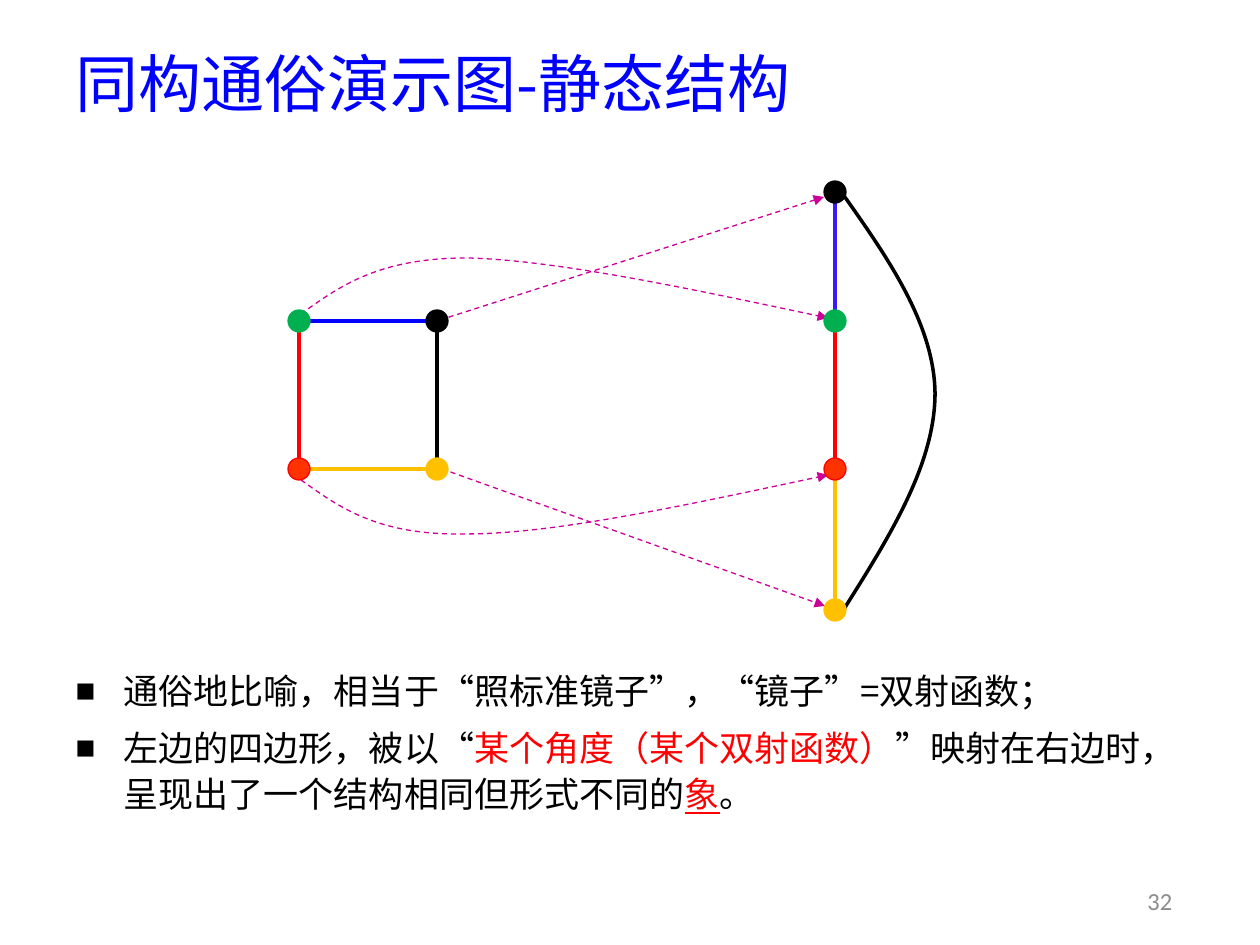
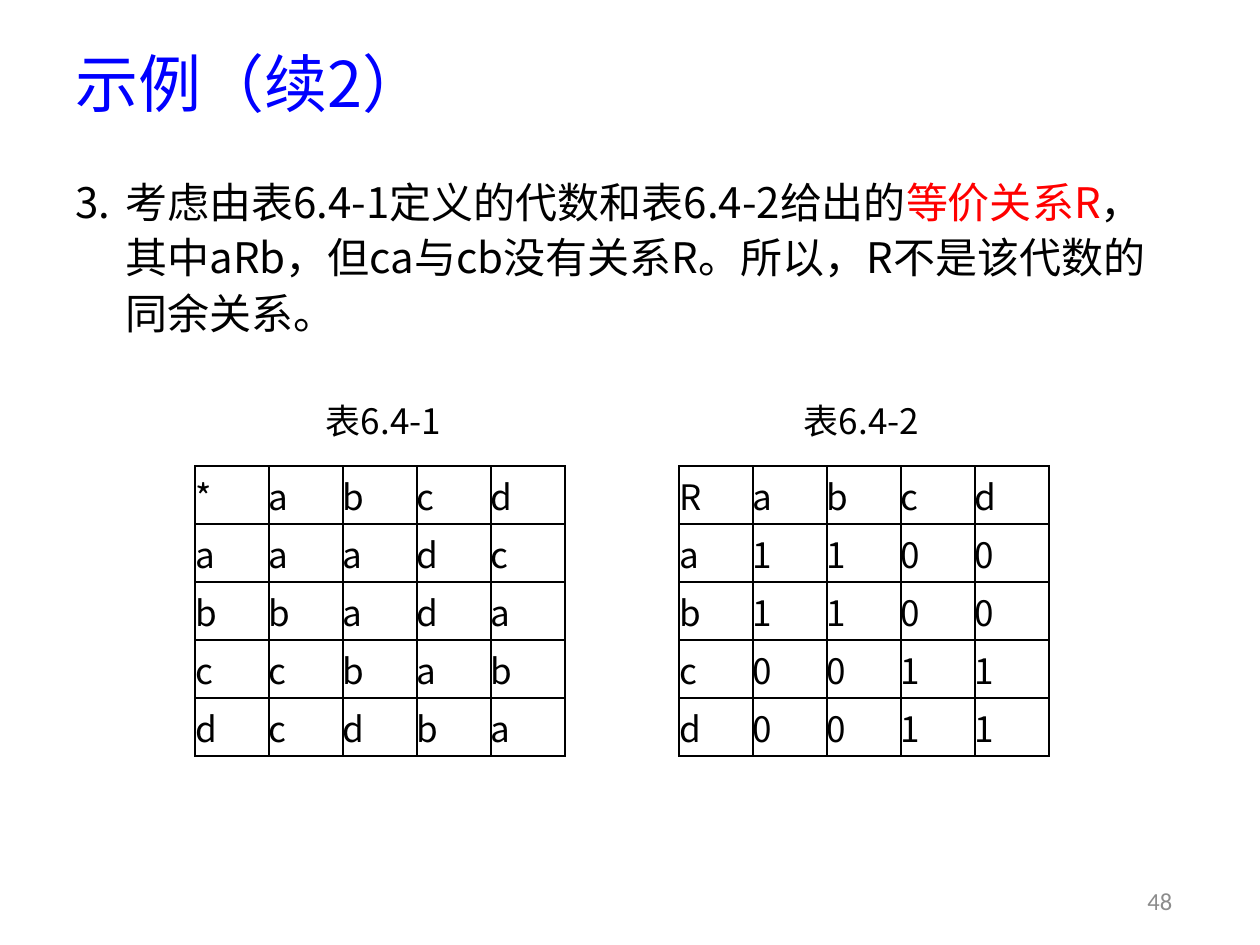
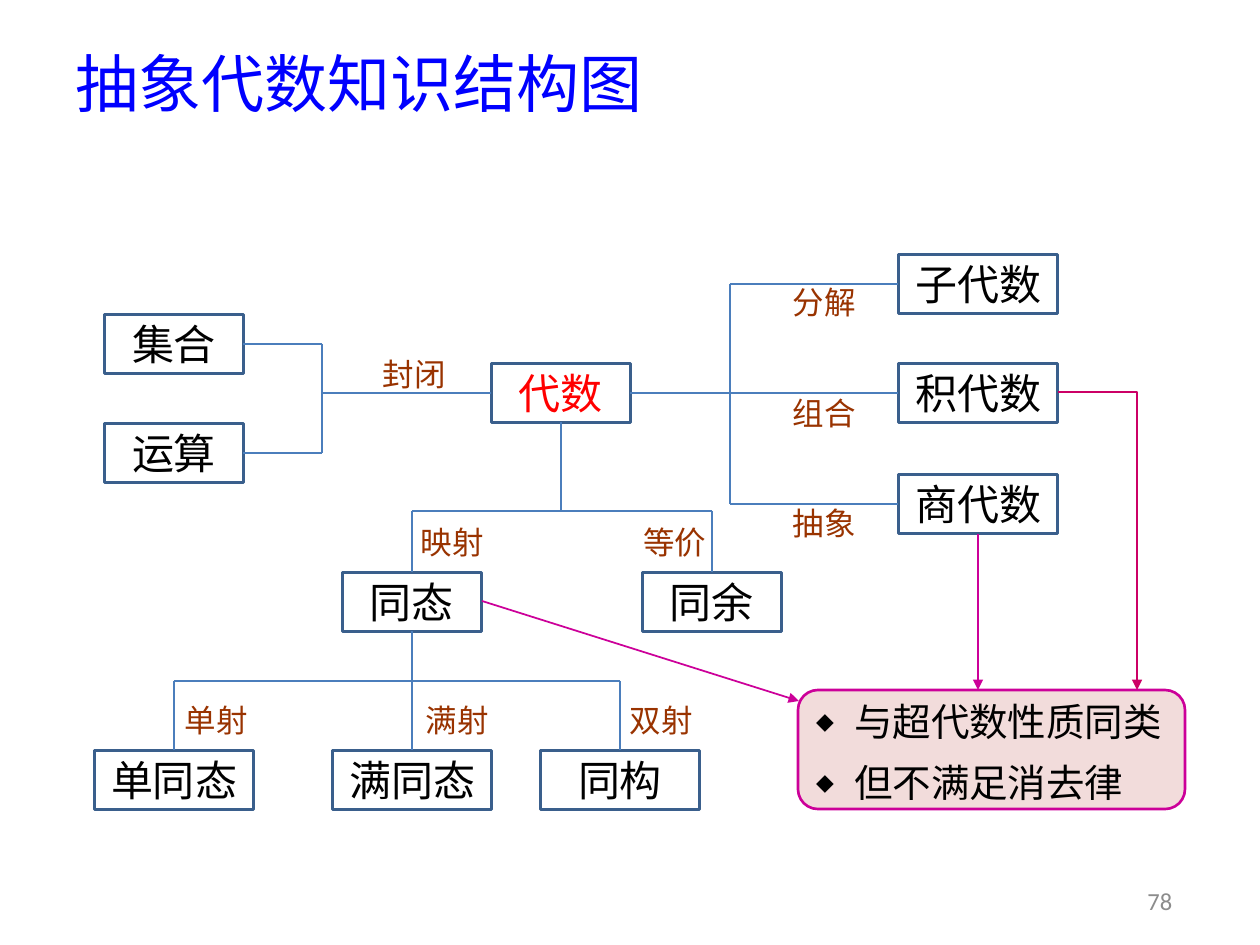
import lxml.etree
import pptx
import pptx.dml.color
import pptx.enum.dml
import pptx.enum.shapes
import pptx.enum.text
import pptx.oxml.ns
import pptx.util

SCALE = 914400 / 126
SANS = "Noto Sans CJK SC"
HUES = {
    "title": "0000FF", "ink": "000000", "page": "8C8C8C", "red": "FF0000",
    "coral": "FF3300", "gold": "FFC000", "green": "00B050", "blue": "0000FF",
    "indigo": "3A1BF7", "pink": "CC0099", "rose": "CC0066", "frame": "3A5F8C",
    "wire": "4B7EBC", "label": "993300", "blush": "F2DCDB",
}
ALIGN = pptx.enum.text.PP_ALIGN
ANCHOR = pptx.enum.text.MSO_ANCHOR
SHAPE = pptx.enum.shapes.MSO_SHAPE

MIRROR = [
    ["通俗地比喻，相当于“照标准镜子”，“镜子”=双射函数；"],
    ["左边的四边形，被以“", ("某个角度（某个双射函数）", "red"),
     "”映射在右边时，呈现出了一个结构相同但形式不同的", ("象", "red", True), "。"],
]
NODES = {
    "A": (299, 321, "green"), "B": (437, 321, "ink"),
    "C": (299, 469, "coral"), "D": (437, 469, "gold"),
    "b": (835, 192, "ink"), "a": (835, 321, "green"),
    "c": (835, 469, "coral"), "d": (835, 610, "gold"),
}
EDGES = [("A", "B", "blue"), ("A", "C", "red"), ("B", "D", "ink"), ("C", "D", "gold"),
         ("b", "a", "indigo"), ("a", "c", "red"), ("c", "d", "gold")]
ARC = [(842, 193), (888, 258), (934, 324), (935, 393), (935, 464), (890, 536), (844, 609)]
MAPS = [
    [(442, 469), (825, 606)],
    [(301, 314), (340, 286), (379, 258), (467, 258), (554, 260), (692, 289), (828, 318)],
    [(440, 320), (824, 197)],
    [(301, 480), (340, 508), (379, 536), (467, 534), (554, 534), (692, 504), (828, 475)],
]

CLAIM = [["考虑由表6.4-1定义的代数和表6.4-2给出的", ("等价关系R", "red"),
          "，其中aRb，但ca与cb没有关系R。所以，R不是该代数的同余关系。"]]
TABLES = [
    ("表6.4-1", 195, 286, ["*abcd", "aaadc", "bbada", "ccbab", "dcdba"]),
    ("表6.4-2", 679, 764, ["Rabcd", "a1100", "b1100", "c0011", "d0011"]),
]

BOXES = {
    "集合": (174, 344, 139), "运算": (174, 453, 139), "代数": (561, 393, 139),
    "子代数": (978, 284, 159), "积代数": (978, 393, 159), "商代数": (978, 504, 159),
    "同态": (412, 602, 139), "同余": (712, 602, 139),
    "单同态": (174, 780, 159), "满同态": (412, 780, 159), "同构": (620, 780, 159),
}
TALL = 59
TREES = [
    ("代数", ["集合", "运算"], 322, 0),
    ("代数", ["子代数", "积代数", "商代数"], 730, 0),
    ("代数", ["同态", "同余"], 511, 1),
    ("同态", ["单同态", "满同态", "同构"], 681, 1),
]
LABELS = [
    ("封闭", 359, 344), ("分解", 769, 272), ("组合", 769, 383), ("抽象", 769, 493),
    ("映射", 397, 512), ("等价", 620, 512),
    ("单射", 161, 690), ("满射", 402, 690), ("双射", 606, 690),
]
NOTES = ["与超代数性质同类", "但不满足消去律"]


def px(n):
    return round(n * SCALE)


def area(*nums):
    return [px(n) for n in nums]


def color(name):
    return pptx.dml.color.RGBColor.from_string(HUES[name])


def sub(node, tag, **attrs):
    return lxml.etree.SubElement(node, pptx.oxml.ns.qn(tag), attrs)


def write(frame, paras, size=24, hue="ink", font=SANS, align=ALIGN.LEFT, anchor=ANCHOR.TOP,
          lead=1.0, before=0, after=0, indent=0, bullet=None, start=None):
    frame.word_wrap = True
    frame.auto_size = pptx.enum.text.MSO_AUTO_SIZE.NONE
    frame.vertical_anchor = anchor
    for i, parts in enumerate(paras):
        para = frame.add_paragraph() if i else frame.paragraphs[0]
        para.alignment = align
        para.line_spacing = lead
        para.space_before = pptx.util.Pt(before)
        para.space_after = pptx.util.Pt(after)
        props = para._p.get_or_add_pPr()
        if indent:
            props.set("marL", str(px(indent)))
            props.set("indent", str(-px(indent)))
        if bullet:
            sub(props, "a:buSzPct", val="60000")
            sub(props, "a:buFont", typeface="Calibri")
            sub(props, "a:buChar", char=bullet)
        if start:
            sub(props, "a:buFont", typeface=SANS)
            sub(props, "a:buAutoNum", type="arabicPeriod", startAt=str(start))
        for part in [parts] if isinstance(parts, str) else parts:
            words, tint, under = ((part,) if isinstance(part, str) else part) + (None, None)[
                :3 - (1 if isinstance(part, str) else len(part))]
            run = para.add_run()
            run.text = words
            run.font.size = pptx.util.Pt(size)
            run.font.name = font
            run.font.color.rgb = color(tint or hue)
            run.font.underline = under
            sub(run._r.get_or_add_rPr(), "a:ea", typeface=font)


def stroke(line, hue, width, dash=False, arrow=False):
    line.color.rgb = color(hue)
    line.width = pptx.util.Pt(width)
    if dash:
        line.dash_style = pptx.enum.dml.MSO_LINE.DASH
    if arrow:
        sub(line._get_or_add_ln(), "a:tailEnd", type="triangle")


def wire(slide, one, two, hue, width=1, arrow=False):
    kind = pptx.enum.shapes.MSO_CONNECTOR.STRAIGHT
    link = slide.shapes.add_connector(kind, *area(*one, *two))
    stroke(link.line, hue, width, arrow=arrow)
    sub(link._element.spPr, "a:effectLst")


def trace(slide, points, hue, width, dash=False, arrow=False):
    build = slide.shapes.build_freeform(*points[0], scale=SCALE)
    build.add_line_segments(points[1:], close=False)
    shape = build.convert_to_shape()
    shape.shadow.inherit = False
    shape.fill.background()
    stroke(shape.line, hue, width, dash, arrow)
    return shape


def bend(shape):
    legs = list(shape._element.iter(pptx.oxml.ns.qn("a:lnTo")))
    for i in range(0, len(legs), 3):
        curve = lxml.etree.Element(pptx.oxml.ns.qn("a:cubicBezTo"))
        legs[i].addprevious(curve)
        for leg in legs[i:i + 3]:
            curve.append(leg[0])
            leg.getparent().remove(leg)


def block(slide, kind, x, y, w, h, fill, edge, width):
    shape = slide.shapes.add_shape(kind, *area(x, y, w, h))
    shape.shadow.inherit = False
    if fill:
        shape.fill.solid()
        shape.fill.fore_color.rgb = color(fill)
    else:
        shape.fill.background()
    stroke(shape.line, edge, width)
    return shape


def label(slide, x, y, w, h, words, **fmt):
    box = slide.shapes.add_textbox(*area(x, y, w, h))
    write(box.text_frame, [words], align=ALIGN.CENTER, **fmt)


def place(shape, *spot):
    shape.left, shape.top, shape.width, shape.height = area(*spot)
    return shape.text_frame


def page(deck, layout, title, number):
    slide = deck.slides.add_slide(deck.slide_layouts[layout])
    frame = place(slide.shapes.title, 63, 39, 1134, 87)
    write(frame, [title], size=36, hue="title", anchor=ANCHOR.MIDDLE)
    label(slide, 1123, 876, 74, 50, number, size=14, hue="page", font="Calibri",
          anchor=ANCHOR.MIDDLE)
    return slide


def graph(deck):
    slide = page(deck, 1, "同构通俗演示图-静态结构", "32")
    bend(trace(slide, ARC, "ink", 2))
    for points in MAPS:
        shape = trace(slide, points, "pink", 0.75, dash=True, arrow=True)
        if len(points) > 2:
            bend(shape)
    for one, two, hue in EDGES:
        wire(slide, NODES[one][:2], NODES[two][:2], hue, 2)
    for x, y, hue in NODES.values():
        edge = "red" if hue == "coral" else hue
        block(slide, SHAPE.FLOWCHART_CONNECTOR, x - 11, y - 11, 22, 22, hue, edge, 0.75)
    body = place(slide.placeholders[1], 63, 659, 1125, 193)
    write(body, MIRROR, size=20, lead=1.1, before=6, indent=48, bullet="■")


def grid(slide, x, y, rows):
    wide, high = 74, 58
    count = len(rows)
    table = slide.shapes.add_table(count, count, *area(x, y, wide * count, high * count)).table
    table.first_row = table.horz_banding = False
    for i, row in enumerate(rows):
        table.rows[i].height = px(high)
        table.columns[i].width = px(wide)
        for j, word in enumerate(row):
            cell = table.cell(i, j)
            cell.margin_left = cell.margin_right = cell.margin_top = cell.margin_bottom = 0
            for side in "LRTB":
                line = sub(cell._tc.get_or_add_tcPr(), "a:ln" + side, w="12700")
                sub(sub(line, "a:solidFill"), "a:srgbClr", val=HUES["ink"])
            cell.fill.background()
            write(cell.text_frame, [word], size=20)
            cell.vertical_anchor = ANCHOR.MIDDLE


def example(deck):
    slide = page(deck, 1, "示例（续2）", "48")
    body = place(slide.placeholders[1], 63, 165, 1134, 202)
    write(body, CLAIM, lead=1.1, before=6, after=6, indent=50, start=3)
    for name, x, left, rows in TABLES:
        grid(slide, x, 466, rows)
        label(slide, left, 389, 195, 66, name, size=20, lead=1.1, before=6, after=6)


def side(name, spine, axis):
    spot = list(BOXES[name][:2])
    half = (BOXES[name][2], TALL)[axis] / 2
    spot[axis] += half if spine > spot[axis] else -half
    return spot


def cross(spot, spine, axis):
    return [spine, spot[1]] if axis == 0 else [spot[0], spine]


def tree(slide, root, kids, spine, axis):
    stem = side(root, spine, axis)
    end = cross(stem, spine, axis)
    tips = [side(kid, spine, axis) for kid in kids]
    for tip in tips:
        if tip[1 - axis] == stem[1 - axis]:
            end = tip
        else:
            wire(slide, cross(tip, spine, axis), tip, "wire")
    wire(slide, stem, end, "wire")
    wire(slide, cross(tips[0], spine, axis), cross(tips[-1], spine, axis), "wire")


def chart(deck):
    slide = page(deck, 5, "抽象代数知识结构图", "78")
    for name, (x, y, wide) in BOXES.items():
        shape = block(slide, SHAPE.RECTANGLE, x - wide / 2, y - TALL / 2, wide, TALL,
                      None, "frame", 1.5)
        core = name == "代数"
        write(shape.text_frame, [name], hue="red" if core else "ink",
              font="Noto Sans CJK JP" if core else SANS,
              align=ALIGN.CENTER, anchor=ANCHOR.MIDDLE)
    for item in TREES:
        tree(slide, *item)
    for name, x, y in LABELS:
        label(slide, x, y, 110, TALL, name, size=18, hue="label", anchor=ANCHOR.MIDDLE)
    note = block(slide, SHAPE.ROUNDED_RECTANGLE, 798, 690, 387, 119, "blush", "pink", 1.5)
    write(note.text_frame, NOTES, size=22, anchor=ANCHOR.MIDDLE, lead=1.1, before=6,
          indent=38, bullet="◆")
    wire(slide, (978, 534), (978, 690), "pink", arrow=True)
    wire(slide, (482, 601), (799, 701), "pink", arrow=True)
    trace(slide, [(1058, 392), (1137, 392), (1137, 690)], "rose", 1, arrow=True)


def main():
    deck = pptx.Presentation()
    deck.slide_width, deck.slide_height = area(1260, 945)
    graph(deck)
    example(deck)
    chart(deck)
    deck.save("out.pptx")


if __name__ == "__main__":
    main()
